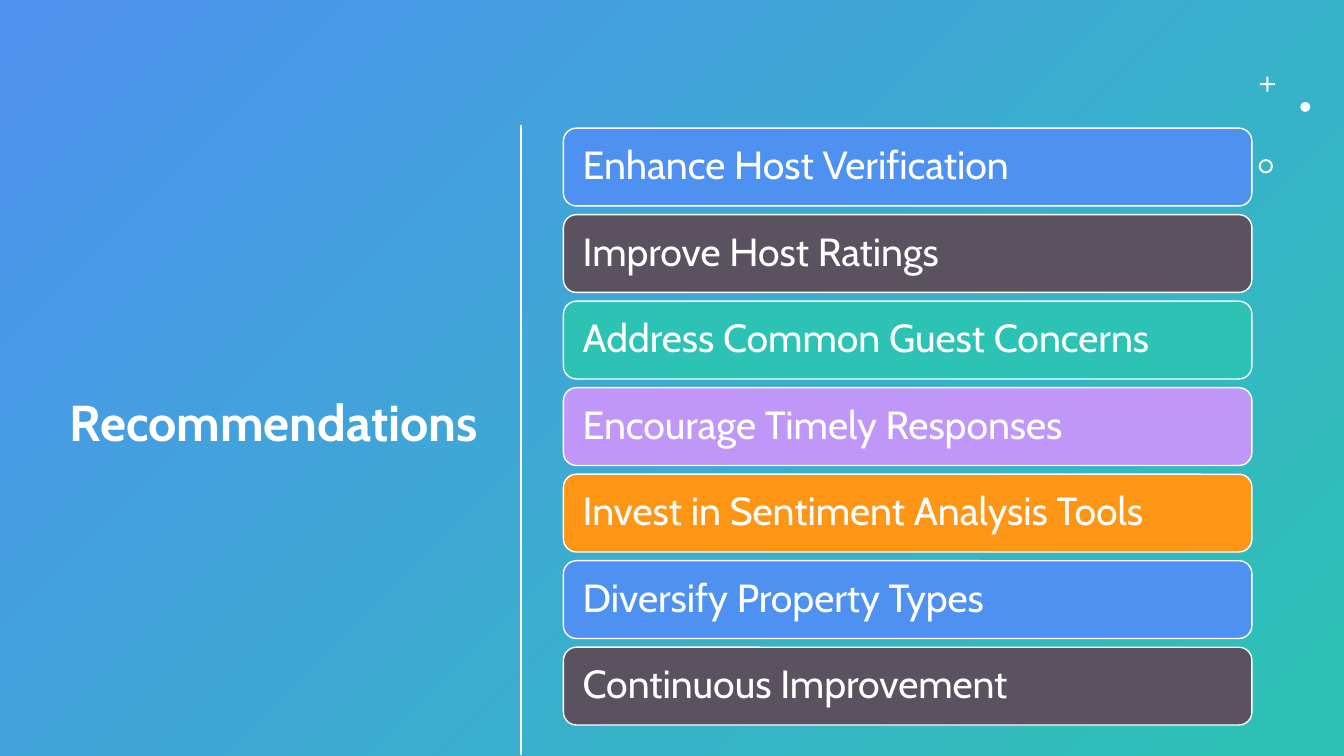
"""Build the Recommendations slide: a title beside a column of coloured bars."""
from lxml import etree
from pptx import Presentation
from pptx.dml.color import RGBColor
from pptx.enum.shapes import MSO_CONNECTOR, MSO_SHAPE
from pptx.enum.text import MSO_ANCHOR, PP_ALIGN
from pptx.oxml.ns import qn
from pptx.util import Cm, Pt

RECTANGLE, ROUNDED = MSO_SHAPE.RECTANGLE, MSO_SHAPE.ROUNDED_RECTANGLE
CROSS, OVAL, DONUT = MSO_SHAPE.CROSS, MSO_SHAPE.OVAL, MSO_SHAPE.DONUT
STRAIGHT = MSO_CONNECTOR.STRAIGHT
MIDDLE = MSO_ANCHOR.MIDDLE
LEFT, RIGHT = PP_ALIGN.LEFT, PP_ALIGN.RIGHT

WHITE, BLUE, TEAL = "FFFFFF", "4E91F0", "2CC3B4"
TITLE = "Recommendations"
RECOMMENDATIONS = [
    "Enhance Host Verification",
    "Improve Host Ratings",
    "Address Common Guest Concerns",
    "Encourage Timely Responses",
    "Invest in Sentiment Analysis Tools",
    "Diversify Property Types",
    "Continuous Improvement",
]
BAR_COLOURS = [BLUE, "5B5260", TEAL, "C097F8", "FF9514"]
ORNAMENTS = [
    (CROSS, 31.75, 1.93, 0.38, 0.43),
    (OVAL, 32.77, 2.57, 0.25, None),
    (DONUT, 31.72, 4.01, 0.36, 0.14),
]

SLIDE_WIDTH, SLIDE_HEIGHT = 33.87, 19.05
TITLE_BOX = (0.36, 2.95, 11.94, 15.52)
DIVIDER = (13.13, 3.15, 13.13, 19.02)
BAR_LEFT, BAR_TOP, BAR_WIDTH, BAR_HEIGHT, BAR_PITCH = 14.2, 3.23, 17.35, 1.96, 2.18
BAR_FRAME = {"margin_left": Cm(0.39), "margin_right": Cm(0.39)}
TITLE_FONT = {"size": Pt(36), "bold": True}
BAR_FONT = {"size": Pt(28), "bold": False}


def colour(value):
    return RGBColor.from_string(value)


def apply_format(target, values):
    for name, value in values.items():
        setattr(target, name, value)


def add_plain_shape(slide, kind, box, fill=None):
    shape = slide.shapes.add_shape(kind, *map(Cm, box))
    shape.shadow.inherit = False
    shape.line.fill.background()
    if fill:
        shape.fill.solid()
        shape.fill.fore_color.rgb = colour(fill)
    return shape


def write_text(shape, text, font, alignment, frame=None):
    text_frame = shape.text_frame
    apply_format(text_frame, {"word_wrap": True, "vertical_anchor": MIDDLE, **(frame or {})})
    paragraph = text_frame.paragraphs[0]
    apply_format(paragraph, {"alignment": alignment, "line_spacing": 0.9})
    run = paragraph.add_run()
    run.text = text
    apply_format(run.font, {"name": "Cabin", **font})
    run.font.color.rgb = colour(WHITE)


def add_background(slide):
    background = add_plain_shape(slide, RECTANGLE, (0, 0, SLIDE_WIDTH, SLIDE_HEIGHT))
    background.fill.gradient()
    background.fill.gradient_angle = 315
    for stop, value in zip(background.fill.gradient_stops, (BLUE, TEAL)):
        stop.color.rgb = colour(value)


def add_divider(slide):
    divider = slide.shapes.add_connector(STRAIGHT, *map(Cm, DIVIDER))
    divider.line.width = Pt(2)
    divider.line.color.rgb = colour(WHITE)
    etree.SubElement(divider.element.spPr, qn("a:effectLst"))


def add_ornaments(slide):
    for kind, left, top, size, adjustment in ORNAMENTS:
        ornament = add_plain_shape(slide, kind, (left, top, size, size), WHITE)
        if adjustment is not None:
            ornament.adjustments[0] = adjustment


def add_bars(slide):
    for index, text in enumerate(RECOMMENDATIONS):
        box = (BAR_LEFT, BAR_TOP + index * BAR_PITCH, BAR_WIDTH, BAR_HEIGHT)
        bar = add_plain_shape(slide, ROUNDED, box, BAR_COLOURS[index % len(BAR_COLOURS)])
        bar.line.width = Pt(1)
        bar.line.color.rgb = colour(WHITE)
        write_text(bar, text, BAR_FONT, LEFT, BAR_FRAME)


def main():
    presentation = Presentation()
    apply_format(presentation, {"slide_width": Cm(SLIDE_WIDTH), "slide_height": Cm(SLIDE_HEIGHT)})
    slide = presentation.slides.add_slide(presentation.slide_layouts[6])
    add_background(slide)
    title = slide.shapes.add_textbox(*map(Cm, TITLE_BOX))
    write_text(title, TITLE, TITLE_FONT, RIGHT)
    add_ornaments(slide)
    add_divider(slide)
    add_bars(slide)
    presentation.save("out.pptx")


if __name__ == "__main__":
    main()
